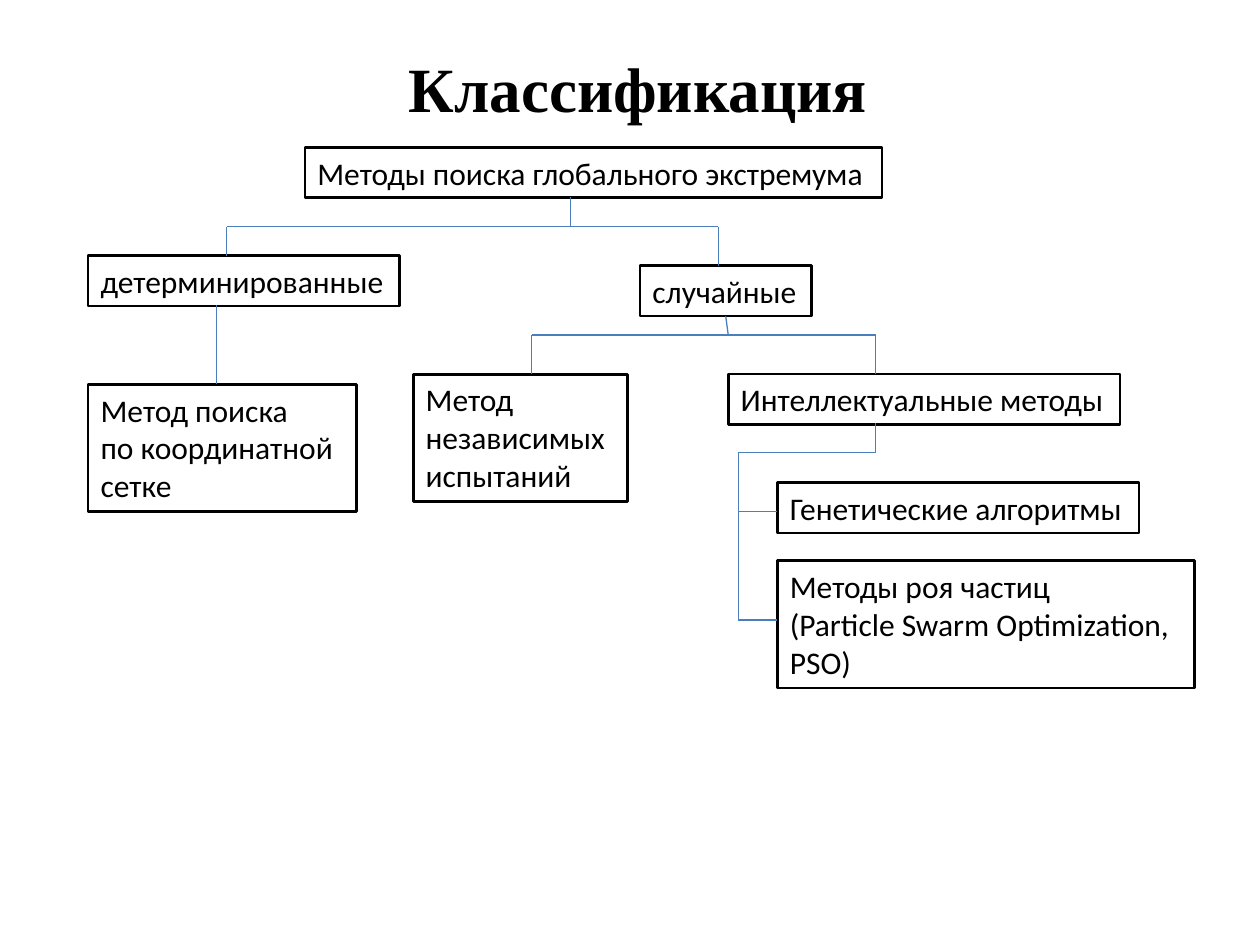
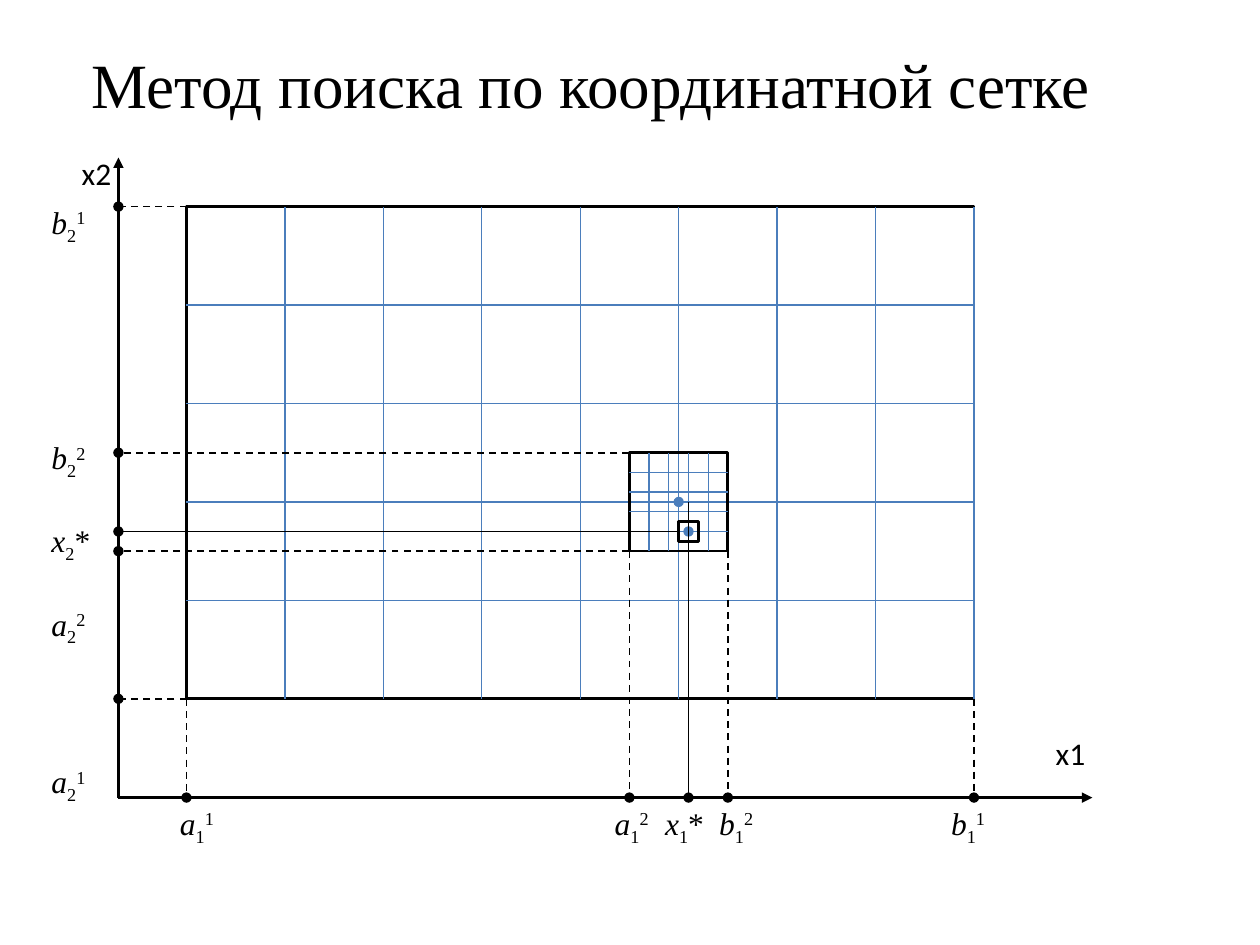
from dataclasses import dataclass

from lxml import etree
from pptx import Presentation, util as u
from pptx.dml.color import RGBColor
from pptx.enum import dml, shapes, text
from pptx.oxml.ns import qn


@dataclass(frozen=True)
class Theme:
    ink: RGBColor = RGBColor(0x00, 0x00, 0x00)
    link: RGBColor = RGBColor(0x4B, 0x7E, 0xBC)
    body_font: str = "Calibri"
    formula_font: str = "Times New Roman"
    title_size: int = 36
    body_size: int = 18
    thin: float = 0.75
    guide: float = 1
    border: float = 1.5
    marker: float = 2


THEME = Theme()
TITLE_ONLY = 5
SUBSCRIPT, SUPERSCRIPT = -25000, 30000


def write_text(shape, paragraphs, *, font=THEME.body_font, size=THEME.body_size,
               bold=False, align=text.PP_ALIGN.LEFT, gaps=()):
    """Fill a shape; a paragraph is a string or a list of (text, italic, baseline)."""
    frame = shape.text_frame
    for index, content in enumerate(paragraphs):
        paragraph = frame.add_paragraph() if index else frame.paragraphs[0]
        paragraph.alignment = align
        if gaps:
            paragraph.space_before = u.Pt(gaps[index])
        pieces = [(content, False, 0)] if isinstance(content, str) else content
        for words, italic, baseline in pieces:
            run = paragraph.add_run()
            run.text = words
            run.font.name, run.font.size = font, u.Pt(size)
            run.font.bold, run.font.italic = bold, italic
            run.font.color.rgb = THEME.ink
            if baseline:
                run.font._element.set("baseline", str(baseline))


def symbol(name, lower, upper):
    """Runs of an indexed variable; a star stays on the baseline."""
    return [(name, True, 0), (lower, False, SUBSCRIPT),
            (upper, False, 0 if upper == "*" else SUPERSCRIPT)]


def add_titled_slide(presentation, title, height, **style):
    slide = presentation.slides.add_slide(presentation.slide_layouts[TITLE_ONLY])
    shape = slide.shapes.title
    shape.left, shape.top = u.Inches(0.5), u.Inches(0.3)
    shape.width, shape.height = u.Inches(9), u.Inches(height)
    shape.text_frame.vertical_anchor = text.MSO_ANCHOR.MIDDLE
    write_text(shape, [title], font=THEME.formula_font, size=THEME.title_size, **style)
    return slide


def add_text_box(slide, left, top, width, height, paragraphs, wrap=False, **style):
    box = slide.shapes.add_textbox(*map(u.Inches, (left, top, width, height)))
    box.text_frame.word_wrap = wrap
    box.text_frame.auto_size = text.MSO_AUTO_SIZE.SHAPE_TO_FIT_TEXT
    write_text(box, paragraphs, **style)
    return box


def outline(shape, width):
    shape.fill.background()
    shape.line.color.rgb = THEME.ink
    shape.line.width = u.Pt(width)


def add_frame(slide, left, top, width, height, weight=THEME.border):
    frame = slide.shapes.add_shape(shapes.MSO_SHAPE.RECTANGLE,
                                   *map(u.Inches, (left, top, width, height)))
    frame.shadow.inherit = False
    outline(frame, weight)


def add_line(slide, start, end, color=THEME.link, weight=THEME.thin, dashed=False, tail=None):
    connector = slide.shapes.add_connector(shapes.MSO_CONNECTOR.STRAIGHT,
                                           *map(u.Inches, (*start, *end)))
    connector.line.color.rgb = color
    connector.line.width = u.Pt(weight)
    if dashed:
        connector.line.dash_style = dml.MSO_LINE.DASH
    if tail:
        line = connector.line._get_or_add_ln()
        etree.SubElement(line, qn("a:tailEnd"), type=tail)
    etree.SubElement(connector._element.spPr, qn("a:effectLst"))


def add_path(slide, *points):
    for start, end in zip(points, points[1:]):
        add_line(slide, start, end)


def add_grid(slide, left, top, columns, rows, step, node):
    """Draw a framed square grid with a dot at node, given as (column, row)."""
    right, bottom = left + columns * step, top + rows * step
    add_frame(slide, left, top, right - left, bottom - top)
    for column in range(1, columns):
        x = left + column * step
        add_line(slide, (x, bottom), (x, top))
    for row in range(1, rows):
        y = top + row * step
        if row == node[1]:
            dot = (left + node[0] * step, y)
            add_line(slide, (left, y), dot, tail="oval")
            add_line(slide, dot, (right, y))
        else:
            add_line(slide, (left, y), (right, y))


def build_classification(presentation):
    slide = add_titled_slide(presentation, " Классификация", 0.79, bold=True,
                             align=text.PP_ALIGN.CENTER)
    methods = [
        (2.42, 1.17, 4.58, ["Методы поиска глобального экстремума"]),
        (0.7, 2.03, 2.47, ["детерминированные"]),
        (5.08, 2.11, 1.36, ["случайные"]),
        (3.28, 2.97, 1.7, ["Метод", "независимых", "испытаний"]),
        (5.78, 2.97, 3.11, ["Интеллектуальные методы"]),
        (0.7, 3.05, 2.13, ["Метод поиска", "по координатной", "сетке"]),
        (6.17, 3.83, 2.87, ["Генетические алгоритмы"]),
        (6.17, 4.45, 3.31, ["Методы роя частиц", "(Particle Swarm Optimization,", "PSO)"]),
    ]
    for left, top, width, lines in methods:
        height = 0.4 if len(lines) == 1 else 1.01
        outline(add_text_box(slide, left, top, width, height, lines), THEME.border)

    add_path(slide, (1.8, 2.03), (1.8, 1.8), (5.7, 1.8), (5.7, 2.11))
    add_path(slide, (4.53, 1.8), (4.53, 1.56))
    add_path(slide, (1.72, 3.05), (1.72, 2.42))
    add_path(slide, (5.76, 2.51), (5.78, 2.66))
    add_path(slide, (4.22, 2.97), (4.22, 2.66), (6.95, 2.66), (6.95, 2.97))
    add_path(slide, (6.95, 3.36), (6.95, 3.59), (5.86, 3.59), (5.86, 4.92), (6.17, 4.92))
    add_path(slide, (5.86, 4.06), (6.17, 4.06))


def add_axis_labels(slide):
    add_text_box(slide, 0.55, 1.17, 0.44, 0.4, ["x2"])
    add_text_box(slide, 8.28, 5.78, 0.44, 0.4, ["x1"])

    marks = [("a", "1"), ("a", "2"), ("x", "*"), ("b", "2"), ("b", "1")]
    runs = []
    for name, upper in marks:
        if runs:
            runs.append(("\t", False, 0))
        runs += symbol(name, "1", upper)
    box = add_text_box(slide, 1.33, 6.33, 7.34, 0.4, [runs], wrap=True,
                       font=THEME.formula_font)
    properties = box.text_frame.paragraphs[0]._p.get_or_add_pPr()
    stops = etree.SubElement(properties, qn("a:tabLst"))
    for position in (3.45, 3.85, 4.28, 6.12):
        etree.SubElement(stops, qn("a:tab"), pos=str(u.Inches(position)), algn="l")

    marks = [("b", "1"), ("b", "2"), ("x", "*"), ("a", "2"), ("a", "1")]
    add_text_box(slide, 0.31, 1.56, 0.55, 4.34,
                 [symbol(name, "2", upper) for name, upper in marks], wrap=True,
                 font=THEME.formula_font, gaps=(0, 110, 23, 23, 65.5))


def build_grid_search(presentation):
    slide = add_titled_slide(presentation, " Метод поиска по координатной сетке", 0.72)
    axis_x, axis_y = 0.94, 6.33
    left, top, columns, rows = 1.48, 1.64, 8, 5
    cell = 6.25 / columns
    right, bottom = left + columns * cell, top + rows * cell
    node = (5, 3)
    fine = cell / 5
    fine_left = left + (node[0] - 0.5) * cell
    fine_top = top + (node[1] - 0.5) * cell
    fine_right, fine_bottom = fine_left + cell, fine_top + cell
    best_x, best_y = fine_left + 3 * fine, fine_top + 4 * fine

    for tip in ((axis_x, 1.25), (8.67, axis_y)):
        add_line(slide, (axis_x, axis_y), tip, THEME.ink, THEME.border, tail="triangle")
    add_grid(slide, left, top, columns, rows, cell, node)
    add_line(slide, (right, bottom), (right, top))
    add_grid(slide, fine_left, fine_top, 5, 5, fine, (3, 4))

    for x, y in ((left, bottom), (right, bottom),
                 (fine_left, fine_bottom), (fine_right, fine_bottom)):
        add_line(slide, (x, y), (x, axis_y), THEME.ink, THEME.guide, True, "oval")
    for x, y in ((left, bottom), (left, top),
                 (fine_left, fine_top), (fine_left, fine_bottom)):
        add_line(slide, (x, y), (axis_x, y), THEME.ink, THEME.guide, True, "oval")

    add_frame(slide, best_x - fine / 2, best_y - fine / 2, fine, fine, THEME.marker)
    add_axis_labels(slide)
    add_line(slide, (best_x, top + node[1] * cell), (best_x, axis_y),
             THEME.ink, THEME.guide, tail="oval")
    add_line(slide, (best_x - fine / 2, best_y), (axis_x, best_y), THEME.ink, tail="oval")


def main():
    presentation = Presentation()
    presentation.slide_width, presentation.slide_height = u.Inches(10), u.Inches(7.5)
    build_classification(presentation)
    build_grid_search(presentation)
    presentation.save("out.pptx")


if __name__ == "__main__":
    main()
